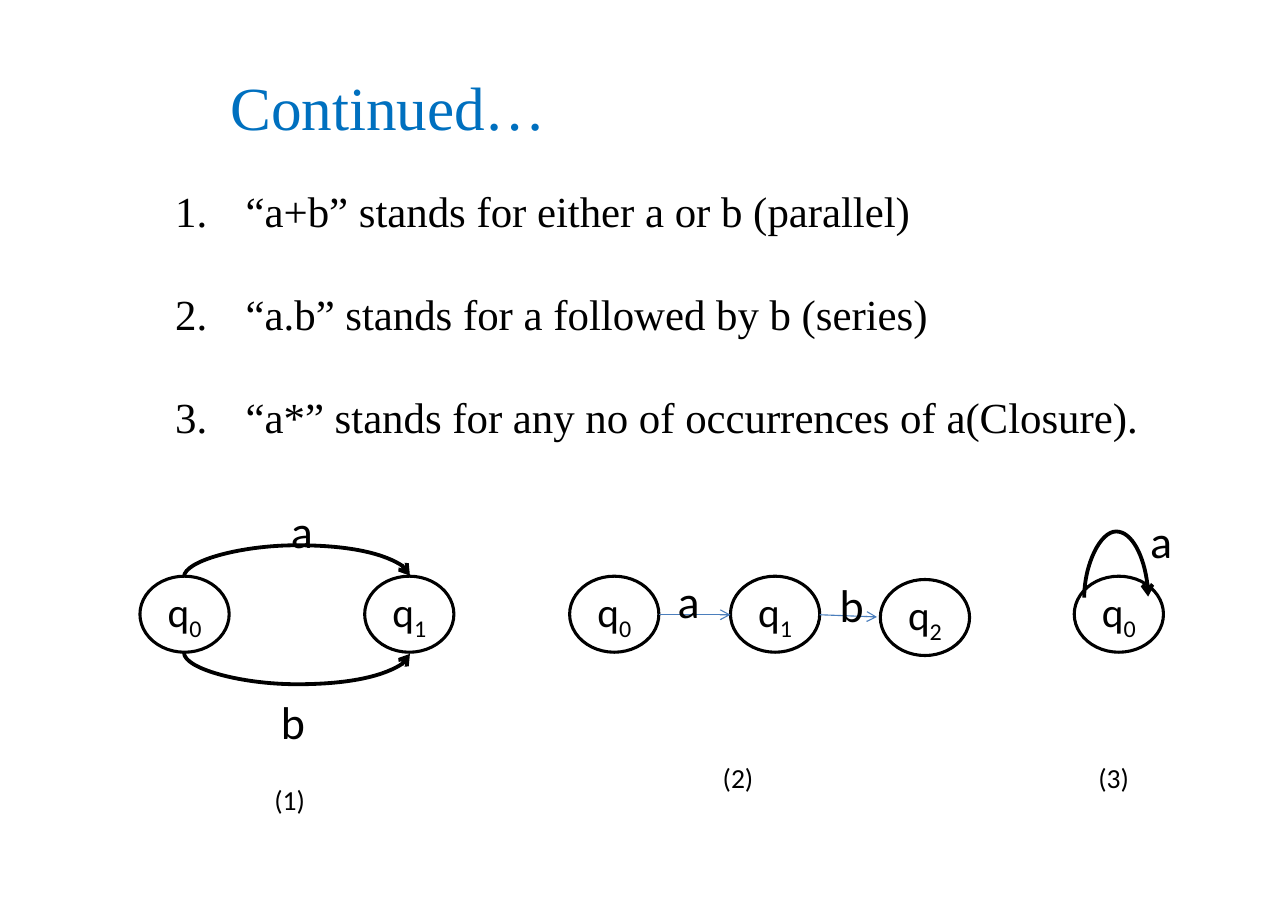
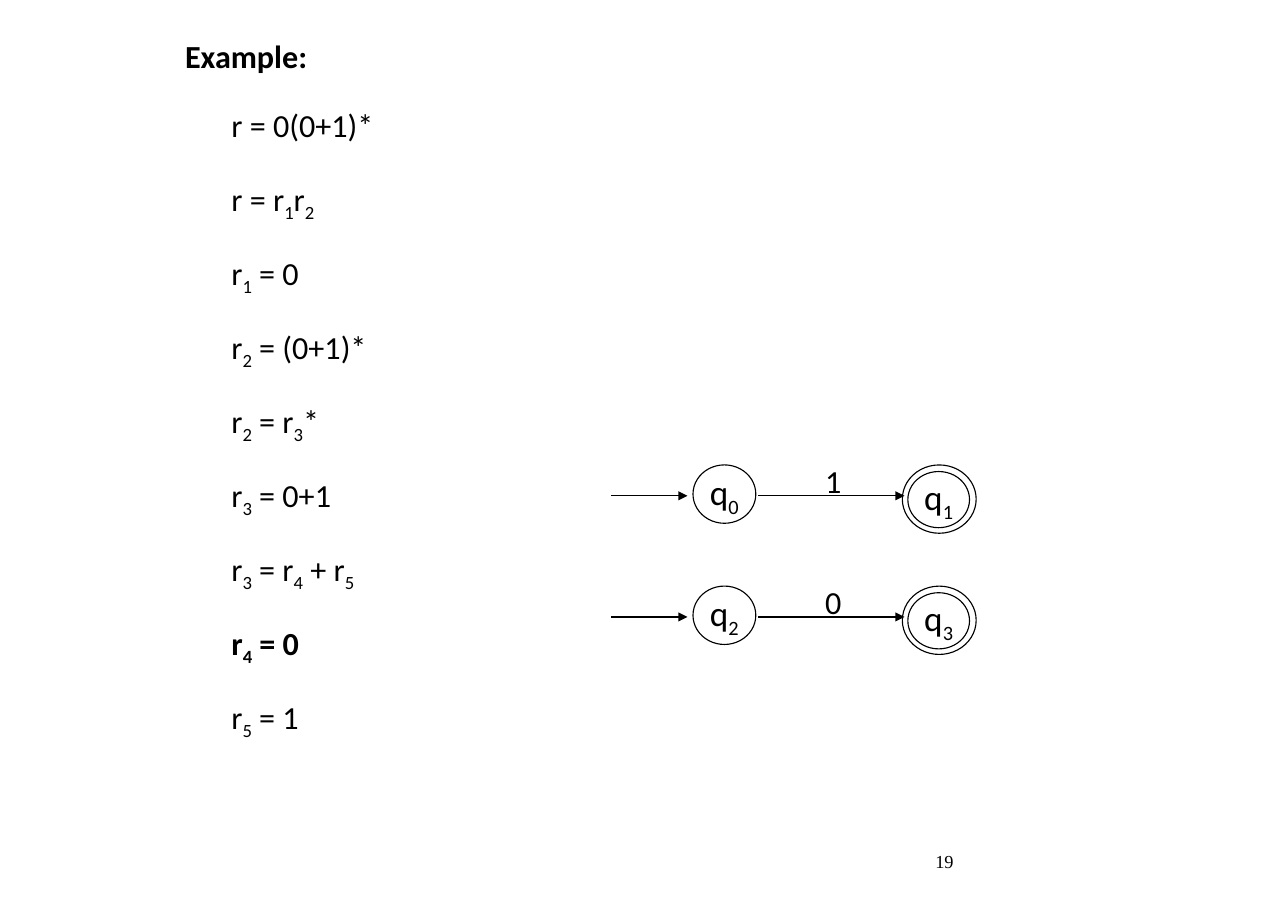
import dataclasses

import lxml.etree
import pptx
import pptx.dml.color
import pptx.enum.shapes
import pptx.enum.text
import pptx.oxml.ns
import pptx.util

PX = 9144
MSO = pptx.enum.shapes
TXT = pptx.enum.text
qn = pptx.oxml.ns.qn


@dataclasses.dataclass(frozen=True)
class Theme:
    black: str = "000000"
    white: str = "FFFFFF"
    title: str = "0070BF"
    link: str = "4B7EBC"
    serif: str = "Times New Roman"
    sans: str = "Calibri"
    title_size: int = 40
    rule_size: int = 28
    state_size: int = 27
    label_size: int = 30
    caption_size: int = 18
    example_size: int = 21
    small_state_size: int = 23
    number_size: int = 12
    thin: float = 0.75
    outline: float = 2
    curve: float = 2.5


T = Theme()

RULES = [
    "“a+b” stands for either a or b (parallel)",
    "“a.b” stands for a followed by b (series)",
    "“a*” stands for any no of occurrences of a(Closure).",
]
STATES = [("q_0", 127, 523), ("q_1", 331, 523), ("q_0", 517, 523),
          ("q_1", 663, 523), ("q_2", 799, 526), ("q_0", 975, 523)]
CURVES = [(167, 372, 523, 29, True), (167, 372, 593, 29, False),
          (984, 1042, 542, 61, True)]
LINKS = [(598, 558, 663, 558), (744, 558, 796, 560)]
LABELS = [("a", 253, 450, 43), ("b", 244, 624, 45), ("a", 604, 514, 43),
          ("b", 751, 517, 45), ("a", 1033, 459, 44)]
CAPTIONS = [("(1)", 238, 705), ("(2)", 645, 685), ("(3)", 986, 685)]

STEPS = ["r = 0(0+1)*", "r = r_1r_2", "r_1 = 0", "r_2 = (0+1)*", "r_2 = r_3*",
         "r_3 = 0+1", "r_3 = r_4 + r_5", "r_4 = 0", "r_5 = 1"]
CURRENT_STEP = "r_4 = 0"
AUTOMATA = [("q_0", "1", "q_1"), ("q_2", "0", "q_3")]
AUTOMATON_TOP, AUTOMATON_PITCH = 422, 110


def px(*values):
    return [round(v * PX) for v in values]


def rgb(value):
    return pptx.dml.color.RGBColor.from_string(value)


def add_run(p, text, font, size, color, bold, subscript=False):
    r = p.add_run()
    r.text = text
    r.font.name = font
    r.font.size = pptx.util.Pt(size)
    r.font.bold = bold
    r.font.color.rgb = rgb(color)
    if subscript:
        r._r.get_or_add_rPr().set("baseline", "-25000")


def write(p, text, font, size, color=T.black, bold=False):
    head, *rest = text.split("_")
    add_run(p, head, font, size, color, bold)
    for part in rest:
        add_run(p, part[0], font, size, color, bold, True)
        if part[1:]:
            add_run(p, part[1:], font, size, color, bold)


def set_frame(tf, margin_x=0, margin_y=0, wrap=True):
    tf.margin_left = tf.margin_right = margin_x * PX
    tf.margin_top = tf.margin_bottom = margin_y * PX
    tf.word_wrap = wrap
    tf.auto_size = TXT.MSO_AUTO_SIZE.NONE


def fill_placeholder(sp, box, lines, font, size, color=T.black, bold=(),
                     spacing=1.0, gap=0, indent=0, numbered=False):
    sp.left, sp.top, sp.width, sp.height = px(*box)
    tf = sp.text_frame
    set_frame(tf)
    tf.vertical_anchor = TXT.MSO_ANCHOR.TOP
    for i, text in enumerate(lines):
        p = tf.add_paragraph() if i else tf.paragraphs[0]
        p.alignment = TXT.PP_ALIGN.LEFT
        p.line_spacing = spacing
        p.space_before = pptx.util.Pt(0)
        p.space_after = pptx.util.Pt(gap)
        pPr = p._p.get_or_add_pPr()
        pPr.set("marL", str(indent * PX))
        pPr.set("indent", str(-indent * PX if numbered else 0))
        if numbered:
            lxml.etree.SubElement(pPr, qn("a:buFont")).set("typeface", font)
            lxml.etree.SubElement(pPr, qn("a:buAutoNum")).set("type", "arabicPeriod")
        else:
            lxml.etree.SubElement(pPr, qn("a:buNone"))
        write(p, text, font, size, color, text in bold)


def add_label(s, text, x, y, w, h, size, font=T.sans, wrap=False):
    tf = s.shapes.add_textbox(*px(x, y, w, h)).text_frame
    set_frame(tf, 11, 6, wrap)
    tf.auto_size = TXT.MSO_AUTO_SIZE.SHAPE_TO_FIT_TEXT
    write(tf.paragraphs[0], text, font, size)


def add_state(s, box, width, text=None, size=None, fill=None):
    sp = s.shapes.add_shape(MSO.MSO_SHAPE.OVAL, *px(*box))
    sp.shadow.inherit = False
    if fill:
        sp.fill.solid()
        sp.fill.fore_color.rgb = rgb(fill)
    else:
        sp.fill.background()
    sp.line.color.rgb = rgb(T.black)
    sp.line.width = pptx.util.Pt(width)
    if text:
        tf = sp.text_frame
        set_frame(tf, 11, 6, wrap=False)
        tf.vertical_anchor = TXT.MSO_ANCHOR.MIDDLE
        tf.paragraphs[0].alignment = TXT.PP_ALIGN.CENTER
        write(tf.paragraphs[0], text, T.sans, size)


def add_arrow(s, ends, color, width, head, kind=MSO.MSO_CONNECTOR.STRAIGHT):
    c = s.shapes.add_connector(kind, *px(*ends))
    c.line.color.rgb = rgb(color)
    c.line.width = pptx.util.Pt(width)
    ln = c.line._get_or_add_ln()
    lxml.etree.SubElement(ln, qn("a:tailEnd")).set("type", head)
    lxml.etree.SubElement(c._element.spPr, qn("a:effectLst"))
    return c


def add_curve(s, x1, x2, y, bulge, upward):
    middle, half = (x1 + x2) / 2, (x2 - x1) / 2
    ends = (middle - 0.5, y - half, middle + 0.5, y + half)
    c = add_arrow(s, ends, T.black, T.curve, "arrow", MSO.MSO_CONNECTOR.CURVE)
    xfrm = c._element.spPr.find(qn("a:xfrm"))
    xfrm.set("rot", str((90 if upward else 270) * 60000))
    xfrm.set("flipH", "1")
    if upward:
        xfrm.set("flipV", "1")
    geom = c._element.spPr.find(qn("a:prstGeom"))
    gd = lxml.etree.SubElement(geom.find(qn("a:avLst")), qn("a:gd"))
    gd.set("name", "adj1")
    gd.set("fmla", f"val {bulge * 100000}")


def build_operators(s):
    title, body = s.placeholders
    fill_placeholder(title, (209, 63, 901, 67), ["Continued…"],
                     T.serif, T.title_size, T.title)
    fill_placeholder(body, (159, 168, 918, 236), RULES, T.serif, T.rule_size,
                     gap=33.5, indent=64, numbered=True)
    for text, x, y in STATES:
        add_state(s, (x, y, 81, 69), T.outline, text, T.state_size, T.white)
    for curve in CURVES:
        add_curve(s, *curve)
    for ends in LINKS:
        add_arrow(s, ends, T.link, T.thin, "arrow")
    for text, x, y, w in LABELS:
        add_label(s, text, x, y, w, 62, T.label_size)
    for text, x, y in CAPTIONS:
        add_label(s, text, x, y, 53, 40, T.caption_size)


def build_example(s):
    title, body = s.placeholders
    fill_placeholder(title, (168, 37, 914, 40), ["Example:"], T.sans,
                     T.example_size, bold=["Example:"], spacing=0.9)
    fill_placeholder(body, (168, 100, 914, 541), STEPS, T.sans, T.example_size,
                     bold=[CURRENT_STEP], spacing=0.9, gap=22.6, indent=42)
    for i, (start, symbol, final) in enumerate(AUTOMATA):
        y = AUTOMATON_TOP + i * AUTOMATON_PITCH
        add_state(s, (629, y, 57, 53), T.thin, start, T.small_state_size)
        add_state(s, (819, y, 67, 62), T.thin)
        add_state(s, (824, y + 6, 56, 51), T.thin, final, T.small_state_size)
        for x1, x2 in [(555, 624), (688, 821)]:
            add_arrow(s, (x1, y + 28, x2, y + 28), T.black, T.thin, "triangle")
        add_label(s, symbol, 738, y - 9, 38, 47, T.example_size)
    add_label(s, "19", 838, 766, 273, 44, T.number_size, T.serif, wrap=True)


def main():
    prs = pptx.Presentation()
    prs.slide_width, prs.slide_height = px(1169, 826)
    for build in (build_operators, build_example):
        build(prs.slides.add_slide(prs.slide_layouts[1]))
    prs.save("out.pptx")


if __name__ == "__main__":
    main()
